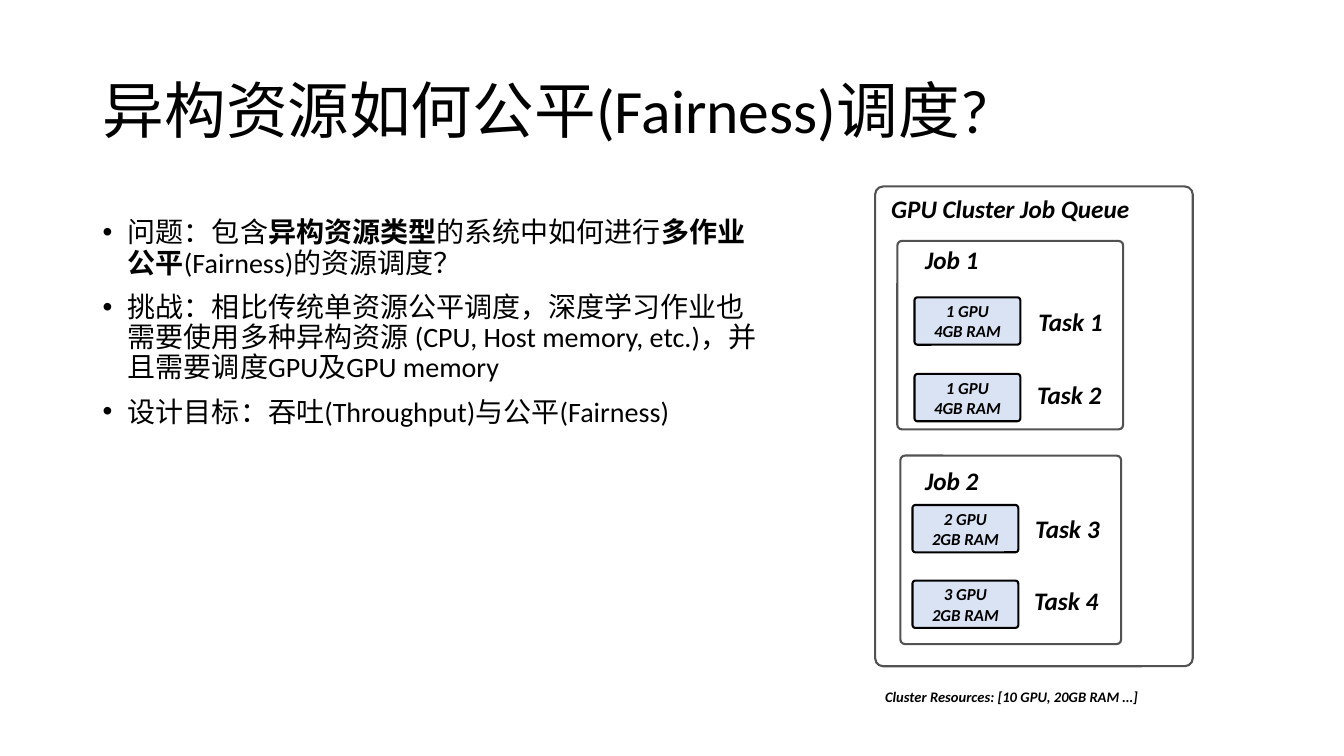
from dataclasses import dataclass

import lxml.etree
import pptx
import pptx.dml.color
import pptx.enum.lang
import pptx.enum.shapes
import pptx.enum.text
import pptx.oxml.ns
import pptx.shapes.autoshape
import pptx.slide
import pptx.text.text
import pptx.util

Inches = pptx.util.Inches
Align = pptx.enum.text.PP_ALIGN
Anchor = pptx.enum.text.MSO_ANCHOR

FONT = "Calibri"
COLORS = {"text": "000000", "frame": "525252", "task_fill": "DAE3F3", "task_line": "000000"}
TASK_WIDTH, TASK_HEIGHT = 1.05, 0.47
JOB_HEIGHT = 1.87
LABEL_HEIGHT = 0.4


@dataclass(frozen=True)
class Task:
    name: str
    demand: tuple[str, str]
    top: float
    label_left: float
    label_top: float
    label_width: float


@dataclass(frozen=True)
class Job:
    name: str
    left: float
    top: float
    width: float
    label_top: float
    task_left: float
    tasks: tuple[Task, ...]


JOBS = (
    Job("Job 1", 8.9, 2.39, 2.24, 2.37, 9.07, (
        Task("Task 1 ", ("1 GPU", "4GB RAM"), 2.95, 10.19, 2.99, 0.91),
        Task("Task 2", ("1 GPU", "4GB RAM"), 3.71, 10.18, 3.71, 0.85),
    )),
    Job("Job 2", 8.93, 4.52, 2.19, 4.57, 9.05, (
        Task("Task 3 ", ("2 GPU", "2GB RAM"), 5.01, 10.16, 5.04, 0.91),
        Task("Task 4", ("3 GPU", "2GB RAM"), 5.76, 10.15, 5.76, 0.85),
    )),
)

# Each bullet is a list of (text, bold) pieces.
BULLETS = (
    (("问题：包含", False), ("异构资源类型", True), ("的系统中如何进行", False),
     ("多作业公平", True), ("(Fairness)的资源调度？", False)),
    (("挑战：相比传统单资源公平调度，深度学习作业也需要使用多种异构资源 "
      "(CPU, Host memory, etc.)，并且需要调度GPU及GPU memory", False),),
    (("设计目标：吞吐(Throughput)与公平(Fairness)", False),),
)


def color(name: str) -> pptx.dml.color.RGBColor:
    return pptx.dml.color.RGBColor.from_string(COLORS[name])


def add_text(paragraph: pptx.text.text._Paragraph, text: str, *, size: float = 18,
             bold: bool = False, italic: bool = False, chinese: bool = False,
             baseline: int = 0) -> None:
    """Append a formatted run; baseline is a percentage, negative for subscript."""
    run = paragraph.add_run()
    run.text = text
    font = run.font
    font.name, font.size = FONT, pptx.util.Pt(size)
    font.bold, font.italic = bold, italic
    font.color.rgb = color("text")
    if chinese:
        font.language_id = pptx.enum.lang.MSO_LANGUAGE_ID.SIMPLIFIED_CHINESE
    if baseline:
        run._r.get_or_add_rPr().set("baseline", str(baseline * 1000))


def add_label(slide: pptx.slide.Slide, text: str, left: float, top: float, width: float,
              height: float = LABEL_HEIGHT, align: Align = Align.CENTER,
              baseline: int = 0) -> None:
    box = slide.shapes.add_textbox(Inches(left), Inches(top), Inches(width), Inches(height))
    box.text_frame.word_wrap = False
    box.text_frame.auto_size = pptx.enum.text.MSO_AUTO_SIZE.SHAPE_TO_FIT_TEXT
    paragraph = box.text_frame.paragraphs[0]
    paragraph.alignment = align
    add_text(paragraph, text, bold=True, italic=True, baseline=baseline)


def add_rounded_box(slide: pptx.slide.Slide, left: float, top: float, width: float,
                    height: float, line: str, fill: str | None = None,
                    rounding: float = 0.025) -> pptx.shapes.autoshape.Shape:
    shape = slide.shapes.add_shape(
        pptx.enum.shapes.MSO_SHAPE.ROUNDED_RECTANGLE,
        Inches(left), Inches(top), Inches(width), Inches(height))
    shape.adjustments[0] = rounding
    shape.shadow.inherit = False
    shape.line.color.rgb = color(line)
    shape.line.width = pptx.util.Pt(1.5)
    if fill:
        shape.fill.solid()
        shape.fill.fore_color.rgb = color(fill)
    else:
        shape.fill.background()
    return shape


def add_task(slide: pptx.slide.Slide, task: Task, left: float) -> None:
    shape = add_rounded_box(slide, left, task.top, TASK_WIDTH, TASK_HEIGHT,
                            "task_line", "task_fill", 0.063)
    frame = shape.text_frame
    frame.margin_left = frame.margin_right = Inches(0.01)
    frame.vertical_anchor = Anchor.MIDDLE
    for index, text in enumerate(task.demand):
        paragraph = frame.add_paragraph() if index else frame.paragraphs[0]
        paragraph.alignment = Align.CENTER
        add_text(paragraph, text, size=12, bold=True, italic=True)
    add_label(slide, task.name, task.label_left, task.label_top, task.label_width)


def add_job(slide: pptx.slide.Slide, job: Job) -> None:
    add_rounded_box(slide, job.left, job.top, job.width, JOB_HEIGHT, "frame")
    add_label(slide, job.name, 9.07, job.label_top, 0.74)
    for task in job.tasks:
        add_task(slide, task, job.task_left)


def set_bullet(paragraph: pptx.text.text._Paragraph) -> None:
    properties = paragraph._p.get_or_add_pPr()
    properties.set("marL", str(Inches(0.25)))
    properties.set("indent", str(Inches(-0.25)))
    qualified = pptx.oxml.ns.qn
    lxml.etree.SubElement(properties, qualified("a:buFont"), typeface="Arial")
    lxml.etree.SubElement(properties, qualified("a:buChar"), char="•")


def add_title(slide: pptx.slide.Slide) -> None:
    title = slide.shapes.title
    title.left, title.top = Inches(0.92), Inches(0.4)
    title.width, title.height = Inches(11.5), Inches(1.45)
    title.text_frame.vertical_anchor = Anchor.MIDDLE
    title.text_frame.auto_size = pptx.enum.text.MSO_AUTO_SIZE.NONE
    paragraph = title.text_frame.paragraphs[0]
    paragraph.alignment = Align.LEFT
    paragraph.line_spacing = 0.9
    add_text(paragraph, "异构资源如何公平(Fairness)调度?", size=44, chinese=True)


def add_bullets(slide: pptx.slide.Slide) -> None:
    box = slide.shapes.add_textbox(Inches(0.92), Inches(2.12), Inches(6.74), Inches(2.4))
    frame = box.text_frame
    frame.word_wrap = True
    for index, pieces in enumerate(BULLETS):
        paragraph = frame.add_paragraph() if index else frame.paragraphs[0]
        paragraph.line_spacing = 0.9
        paragraph.space_before = pptx.util.Pt(10)
        set_bullet(paragraph)
        for text, bold in pieces:
            add_text(paragraph, text, size=20, bold=bold, chinese=True)


def main() -> None:
    presentation = pptx.Presentation()
    presentation.slide_width, presentation.slide_height = Inches(13.33), Inches(7.5)
    slide = presentation.slides.add_slide(presentation.slide_layouts.get_by_name("Title Only"))
    add_title(slide)
    add_bullets(slide)
    add_rounded_box(slide, 8.68, 1.85, 3.15, 4.76, "frame")
    add_label(slide, "GPU Cluster Job Queue", 8.72, 1.87, 2.6)
    for job in JOBS:
        add_job(slide, job)
    add_label(slide, "Cluster Resources: [10 GPU, 20GB RAM …]", 8.68, 6.61, 3.14,
              height=0.5, align=Align.LEFT, baseline=-25)
    presentation.save("out.pptx")


if __name__ == "__main__":
    main()
